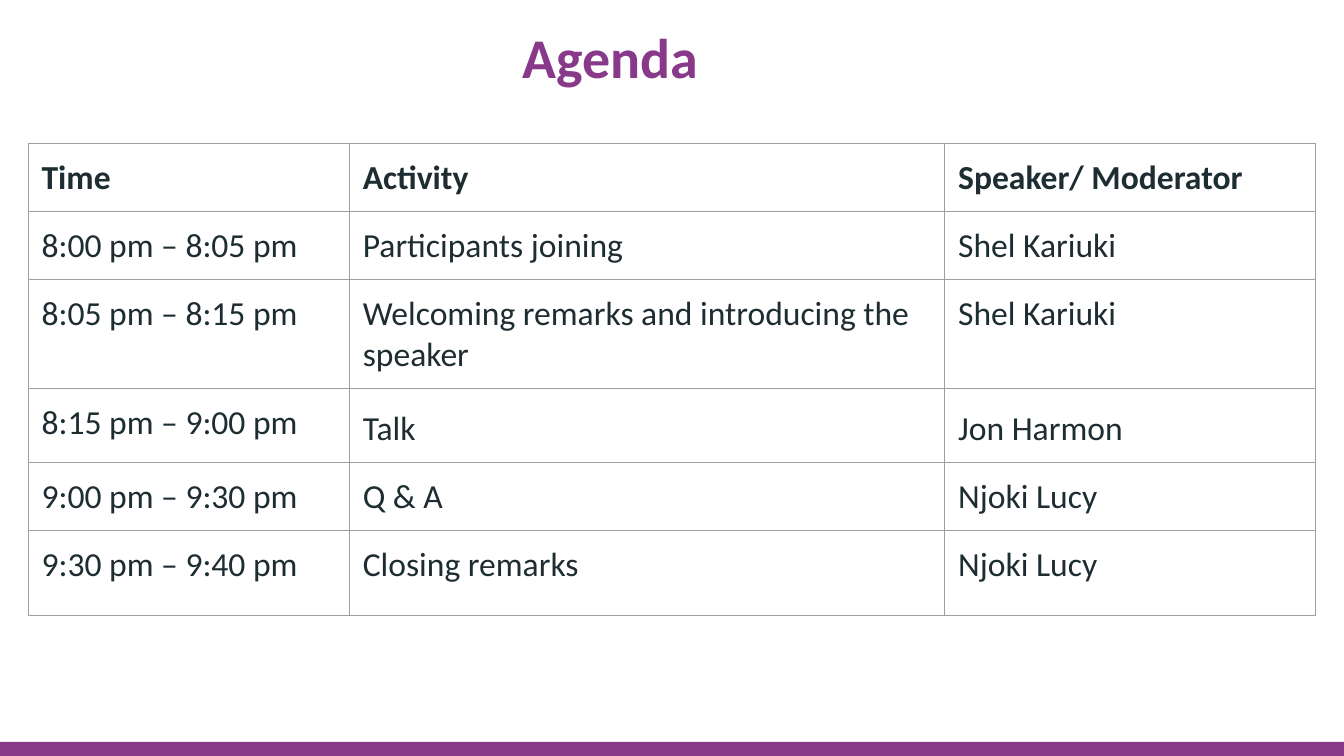
import pptx
import pptx.dml.color
import pptx.enum.shapes
import pptx.enum.text
import pptx.oxml
import pptx.oxml.ns
import pptx.util
from lxml import etree

Inches = pptx.util.Inches
Pt = pptx.util.Pt
RGBColor = pptx.dml.color.RGBColor

PURPLE = RGBColor(0x88, 0x39, 0x8A)
INK = RGBColor(0x1E, 0x2D, 0x31)
GREY = RGBColor(0x9E, 0x9E, 0x9E)
FONT = "Calibri"
PAD = Inches(0.1)

WIDTHS = (2.39, 4.43, 2.76)
HEIGHTS = (0.43, 0.48, 0.63, 0.48, 0.48, 0.63)
AGENDA = (
    ("Time", "Activity", "Speaker/ Moderator"),
    ("8:00 pm – 8:05 pm", "Participants joining", "Shel Kariuki"),
    ("8:05 pm – 8:15 pm", "Welcoming remarks and introducing the speaker",
     "Shel Kariuki"),
    ("8:15 pm – 9:00 pm", "Talk", "Jon Harmon"),
    ("9:00 pm – 9:30 pm", "Q & A", "Njoki Lucy"),
    ("9:30 pm – 9:40 pm", "Closing remarks", "Njoki Lucy"),
)
TALK = 3


def add_run(para, text, size, color, bold):
    run = para.add_run()
    run.text = text
    run.font.name = FONT
    run.font.size = Pt(size)
    run.font.bold = bold
    run.font.color.rgb = color


def set_pad(item):
    item.margin_left = item.margin_right = PAD
    item.margin_top = item.margin_bottom = PAD


def add_edges(cell):
    props = cell._tc.get_or_add_tcPr()
    for side in ("lnL", "lnR", "lnT", "lnB"):
        line = etree.SubElement(props, pptx.oxml.ns.qn(f"a:{side}"),
                                w=str(Pt(0.75)))
        fill = etree.SubElement(line, pptx.oxml.ns.qn("a:solidFill"))
        etree.SubElement(fill, pptx.oxml.ns.qn("a:srgbClr"), val=str(GREY))


def add_bar(slide, left, top, width, height):
    bar = slide.shapes.add_shape(
        pptx.enum.shapes.MSO_SHAPE.RECTANGLE,
        Inches(left), Inches(top), Inches(width), Inches(height))
    bar.shadow.inherit = False
    bar.fill.solid()
    bar.fill.fore_color.rgb = PURPLE
    bar.line.fill.background()


def add_title(slide, left, top, width, height):
    title = slide.shapes.title
    title.left, title.top = Inches(left), Inches(top)
    title.width, title.height = Inches(width), Inches(height)
    frame = title.text_frame
    frame.word_wrap = True
    frame.auto_size = pptx.enum.text.MSO_AUTO_SIZE.NONE
    frame.vertical_anchor = pptx.enum.text.MSO_ANCHOR.MIDDLE
    set_pad(frame)
    para = frame.paragraphs[0]
    para.alignment = pptx.enum.text.PP_ALIGN.CENTER
    add_run(para, "Agenda", 30, PURPLE, True)


def add_agenda(slide, left, top, width, height):
    table = slide.shapes.add_table(
        len(AGENDA), len(WIDTHS), Inches(left), Inches(top),
        Inches(width), Inches(height)).table
    table.horz_banding = False
    for col, size in zip(table.columns, WIDTHS):
        col.width = Inches(width * size / sum(WIDTHS))
    for row, size in zip(table.rows, HEIGHTS):
        row.height = Inches(height * size / sum(HEIGHTS))
    for r, texts in enumerate(AGENDA):
        for c, text in enumerate(texts):
            cell = table.cell(r, c)
            set_pad(cell)
            add_edges(cell)
            cell.fill.background()
            para = cell.text_frame.paragraphs[0]
            if r == TALK and c > 0:
                para.line_spacing = 1.15
            add_run(para, text, 18, INK, r == 0)


def main():
    deck = pptx.Presentation()
    deck.slide_width = Inches(10)
    deck.slide_height = deck.slide_width * 9 // 16
    slide = deck.slides.add_slide(deck.slide_layouts.get_by_name("Title Only"))
    add_bar(slide, 0, 5.52, 10, 0.11)
    add_agenda(slide, 0.21, 1.07, sum(WIDTHS), sum(HEIGHTS))
    add_title(slide, 1.12, 0.16, 6.84, 0.51)
    deck.save("out.pptx")


if __name__ == "__main__":
    main()
